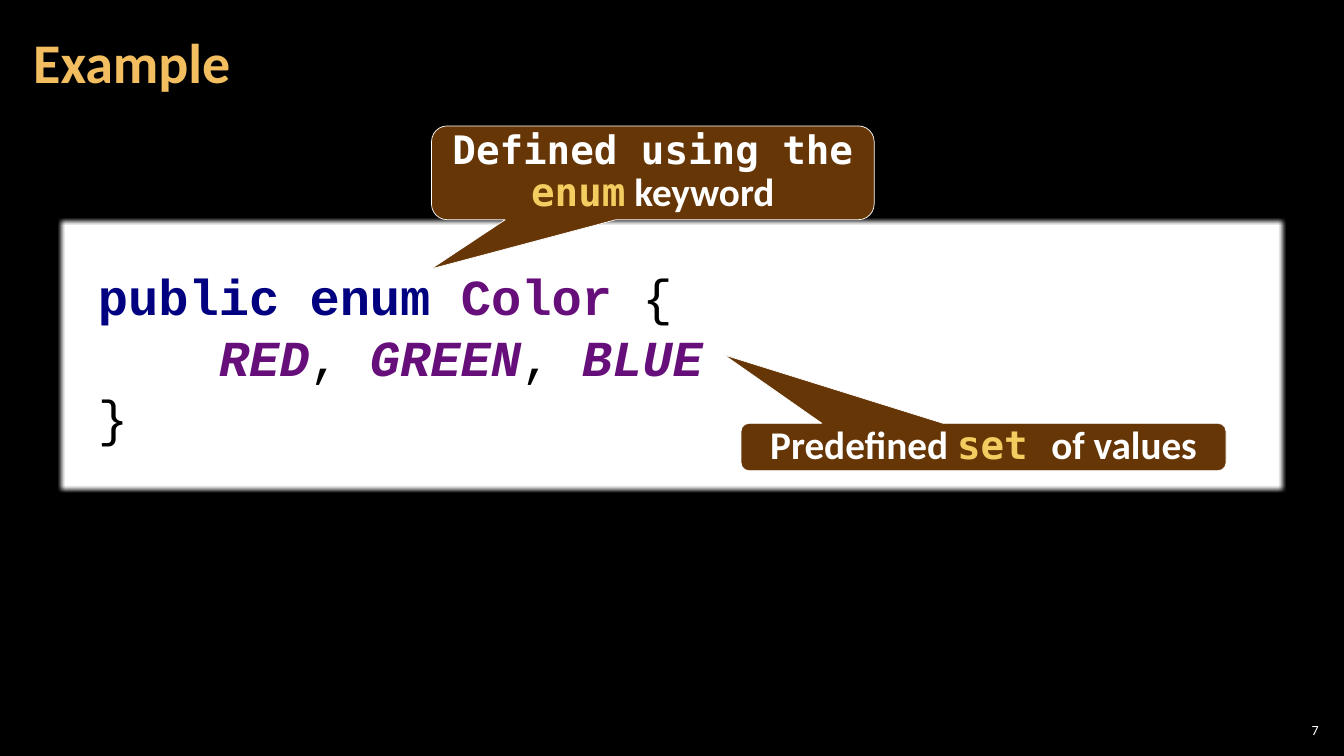
from dataclasses import dataclass

from lxml import etree
from pptx import Presentation
from pptx.dml.color import RGBColor
from pptx.enum.shapes import MSO_SHAPE
from pptx.enum.text import MSO_ANCHOR, MSO_AUTO_SIZE, PP_ALIGN
from pptx.oxml.ns import qn
from pptx.shapes.autoshape import Shape
from pptx.slide import Slide
from pptx.util import Emu, Pt

PX = 9144
RECT, CALLOUT = MSO_SHAPE.RECTANGLE, MSO_SHAPE.ROUNDED_RECTANGULAR_CALLOUT
TOP, MIDDLE = MSO_ANCHOR.TOP, MSO_ANCHOR.MIDDLE
LEFT, CENTER, RIGHT = PP_ALIGN.LEFT, PP_ALIGN.CENTER, PP_ALIGN.RIGHT
GROW = MSO_AUTO_SIZE.SHAPE_TO_FIT_TEXT


@dataclass(frozen=True)
class Theme:
    background: str = "000000"
    white: str = "FFFFFF"
    title: str = "F3BE60"
    accent: str = "F3CD60"
    callout: str = "663606"
    keyword: str = "000080"
    name: str = "660E7A"
    plain: str = "000000"
    sans: str = "Calibri"
    code: str = "Courier New"
    mono: str = "DejaVu Sans Mono"
    number_size: int = 10
    title_size: int = 40
    code_size: int = 36
    callout_size: int = 28
    callout_leading: int = 30


T = Theme()


@dataclass(frozen=True)
class Span:
    text: str
    color: str
    font: str = T.sans
    bold: bool = True
    italic: bool = False


@dataclass(frozen=True)
class Box:
    x: int
    y: int
    w: int
    h: int

    def emu(self) -> tuple[Emu, ...]:
        return tuple(Emu(v * PX) for v in (self.x, self.y, self.w, self.h))


@dataclass(frozen=True)
class Callout:
    box: Box
    tip: tuple[float, float]
    spans: list[Span]


def code(text: str, color: str = T.plain, italic: bool = False) -> Span:
    return Span(text, color, T.code, color != T.plain, italic)


CODE_LINES = [
    [code("public enum ", T.keyword), code("Color ", T.name), code("{")],
    [code("    "), code("RED", T.name, True), code(", "),
     code("GREEN", T.name, True), code(", "), code("BLUE", T.name, True)],
    [code("}")],
]
CALLOUTS = [
    Callout(Box(428, 125, 439, 93), (-0.501, 1.025),
            [Span("Defined using the ", T.white, T.mono),
             Span("enum", T.accent, T.mono), Span(" keyword", T.white)]),
    Callout(Box(735, 420, 481, 47), (-0.535, -1.944),
            [Span("Predefined ", T.white), Span("set ", T.accent, T.mono),
             Span("of values", T.white)]),
]


def write(sp: Shape, lines: list[list[Span]], *, size: int, inset: tuple[int, int],
          align: PP_ALIGN = LEFT, anchor: MSO_ANCHOR = MIDDLE,
          spacing: float | Pt | None = None) -> None:
    tf = sp.text_frame
    tf.word_wrap = True
    tf.vertical_anchor = anchor
    tf.margin_left = tf.margin_right = Emu(inset[0] * PX)
    tf.margin_top = tf.margin_bottom = Emu(inset[1] * PX)
    for i, spans in enumerate(lines):
        p = tf.add_paragraph() if i else tf.paragraphs[0]
        p.alignment = align
        p.line_spacing = spacing
        for span in spans:
            r = p.add_run()
            r.text = span.text
            r.font.name, r.font.size = span.font, Pt(size)
            r.font.bold, r.font.italic = span.bold, span.italic
            r.font.color.rgb = RGBColor.from_string(span.color)


def add_filled(s: Slide, kind: MSO_SHAPE, box: Box, fill: str) -> Shape:
    sp = s.shapes.add_shape(kind, *box.emu())
    sp.shadow.inherit = False
    sp.fill.solid()
    sp.fill.fore_color.rgb = RGBColor.from_string(fill)
    return sp


def add_code_panel(s: Slide, box: Box) -> None:
    sp = add_filled(s, RECT, box, T.white)
    sp.line.fill.background()
    effects = sp.element.spPr.find(qn("a:effectLst"))
    etree.SubElement(effects, qn("a:softEdge")).set("rad", "31750")
    write(sp, CODE_LINES, size=T.code_size, inset=(39, 39))


def add_callout(s: Slide, callout: Callout) -> None:
    sp = add_filled(s, CALLOUT, callout.box, T.callout)
    sp.line.color.rgb = RGBColor.from_string(T.white)
    sp.line.width = Pt(0.5)
    sp.adjustments[0], sp.adjustments[1] = callout.tip
    write(sp, [callout.spans], size=T.callout_size, inset=(8, 0), align=CENTER,
          anchor=TOP, spacing=Pt(T.callout_leading))
    sp.text_frame.auto_size = GROW


def main() -> None:
    """Build the enum example slide and save it."""
    prs = Presentation()
    prs.slide_width, prs.slide_height = Emu(1333 * PX), Emu(750 * PX)
    s = prs.slides.add_slide(prs.slide_layouts[6])
    s.background.fill.solid()
    s.background.fill.fore_color.rgb = RGBColor.from_string(T.background)

    number = s.shapes.add_textbox(*Box(1265, 714, 47, 21).emu())
    write(number, [[Span("7", T.white, bold=False)]], size=T.number_size,
          inset=(4, 4), align=RIGHT)
    title = s.shapes.add_textbox(*Box(21, 4, 1047, 121).emu())
    write(title, [[Span("Example", T.title)]], size=T.title_size,
          inset=(12, 4), spacing=0.9)

    add_code_panel(s, Box(58, 217, 1217, 272))
    for callout in CALLOUTS:
        add_callout(s, callout)
    prs.save("out.pptx")


if __name__ == "__main__":
    main()
